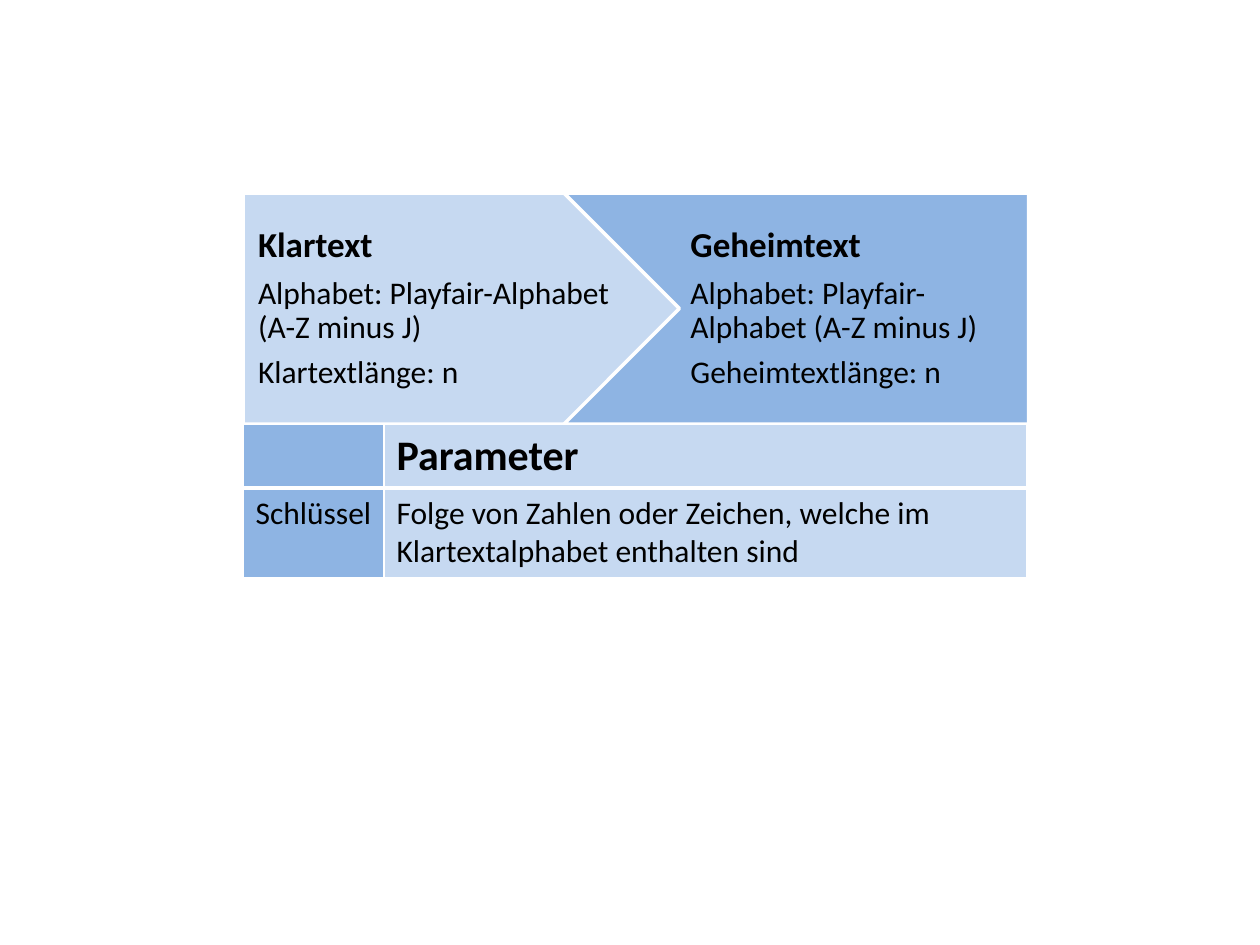
from lxml.etree import SubElement
from pptx import Presentation
from pptx.dml.color import RGBColor
from pptx.enum.shapes import MSO_SHAPE
from pptx.enum.text import MSO_ANCHOR, PP_ALIGN
from pptx.oxml.ns import qn
from pptx.util import Emu, Pt

EMU_PER_INCH = 914400
PX_PER_INCH = 126
FONT = "Calibri"
BLACK = RGBColor(0x00, 0x00, 0x00)
WHITE = RGBColor(0xFF, 0xFF, 0xFF)
LIGHT_BLUE = RGBColor(0xC6, 0xD9, 0xF1)
MID_BLUE = RGBColor(0x8E, 0xB4, 0xE3)

LEFT, TOP = 243, 193
ARROW_HEIGHT = 231
THIN, THICK = 0.96, 3


def px(length):
    return Emu(round(length * EMU_PER_INCH / PX_PER_INCH))


def write(paragraph, text, size=18, bold=False, line_spacing=None, space_after=None):
    paragraph.text = text
    paragraph.alignment = PP_ALIGN.LEFT
    if line_spacing is not None:
        paragraph.line_spacing = line_spacing
    if space_after is not None:
        paragraph.space_after = Pt(space_after)
    for run in paragraph.runs:
        run.font.name = FONT
        run.font.size = Pt(size)
        run.font.bold = bold
        run.font.color.rgb = BLACK


def add_filled(shapes, preset, box, fill):
    shape = shapes.add_shape(preset, *map(px, box))
    shape.shadow.inherit = False
    shape.fill.solid()
    shape.fill.fore_color.rgb = fill
    shape.line.fill.background()
    return shape


def add_arrow(shapes, preset, box, fill, inset, heading, details):
    arrow = add_filled(shapes, preset, box, fill)
    arrow.adjustments[0] = 0.5
    arrow.line.color.rgb = WHITE
    arrow.line.width = Pt(2)
    frame = arrow.text_frame
    frame.word_wrap = True
    frame.vertical_anchor = MSO_ANCHOR.MIDDLE
    frame.margin_left, frame.margin_right = px(inset), px(4)
    frame.margin_top = frame.margin_bottom = px(7)
    write(frame.paragraphs[0], heading, size=20, bold=True,
          line_spacing=0.9, space_after=7)
    for detail in details:
        write(frame.add_paragraph(), detail, line_spacing=0.9, space_after=6.3)


def set_borders(cell, **widths):
    """Draw white cell borders; widths in points are keyed L, R, T, B in that order."""
    properties = cell._tc.get_or_add_tcPr()
    for index, (side, width) in enumerate(widths.items()):
        border = SubElement(properties, qn(f"a:ln{side}"), w=str(Pt(width)))
        fill = SubElement(border, qn("a:solidFill"))
        SubElement(fill, qn("a:srgbClr"), val=str(WHITE))
        properties.insert(index, border)


def add_parameter_table(shapes):
    rows = [
        ("", "Parameter", {"size": 24, "bold": True}),
        ("Schlüssel",
         "Folge von Zahlen oder Zeichen, welche im Klartextalphabet enthalten sind", {}),
    ]
    column_widths, row_heights = (141, 643), (59, 52)
    table = shapes.add_table(
        len(rows), len(column_widths), px(LEFT), px(TOP + ARROW_HEIGHT),
        px(sum(column_widths)), px(sum(row_heights))).table
    table.first_row = table.horz_banding = False
    for column, width in zip(table.columns, column_widths):
        column.width = px(width)
    for r, (label, description, text_format) in enumerate(rows):
        table.rows[r].height = px(row_heights[r])
        top, bottom = (THIN, THICK) if r == 0 else (THICK, THIN)
        for c, (text, fill) in enumerate([(label, MID_BLUE), (description, LIGHT_BLUE)]):
            cell = table.cell(r, c)
            cell.fill.solid()
            cell.fill.fore_color.rgb = fill
            set_borders(cell, L=THIN, R=THIN, T=top, B=bottom)
            if text:
                write(cell.text_frame.paragraphs[0], text, **text_format)


def main():
    presentation = Presentation()
    presentation.slide_width, presentation.slide_height = px(1260), px(945)
    shapes = presentation.slides.add_slide(presentation.slide_layouts[6]).shapes

    arrows = shapes.add_group_shape().shapes
    add_arrow(arrows, MSO_SHAPE.PENTAGON, (LEFT, TOP, 496, ARROW_HEIGHT),
              LIGHT_BLUE, 15, "Klartext",
              ["Alphabet: Playfair-Alphabet\v(A-Z minus J)", "Klartextlänge: n"])
    add_arrow(arrows, MSO_SHAPE.CHEVRON, (564, TOP, 581, ARROW_HEIGHT),
              MID_BLUE, 11, "Geheimtext",
              ["Alphabet: Playfair-Alphabet (A-Z minus J)", "Geheimtextlänge: n"])
    # The white block squares off the chevron's tip at the table's right edge.
    add_filled(shapes, MSO_SHAPE.RECTANGLE, (1027, 145, 118, 307), WHITE)
    add_parameter_table(shapes)

    presentation.save("out.pptx")


if __name__ == "__main__":
    main()
